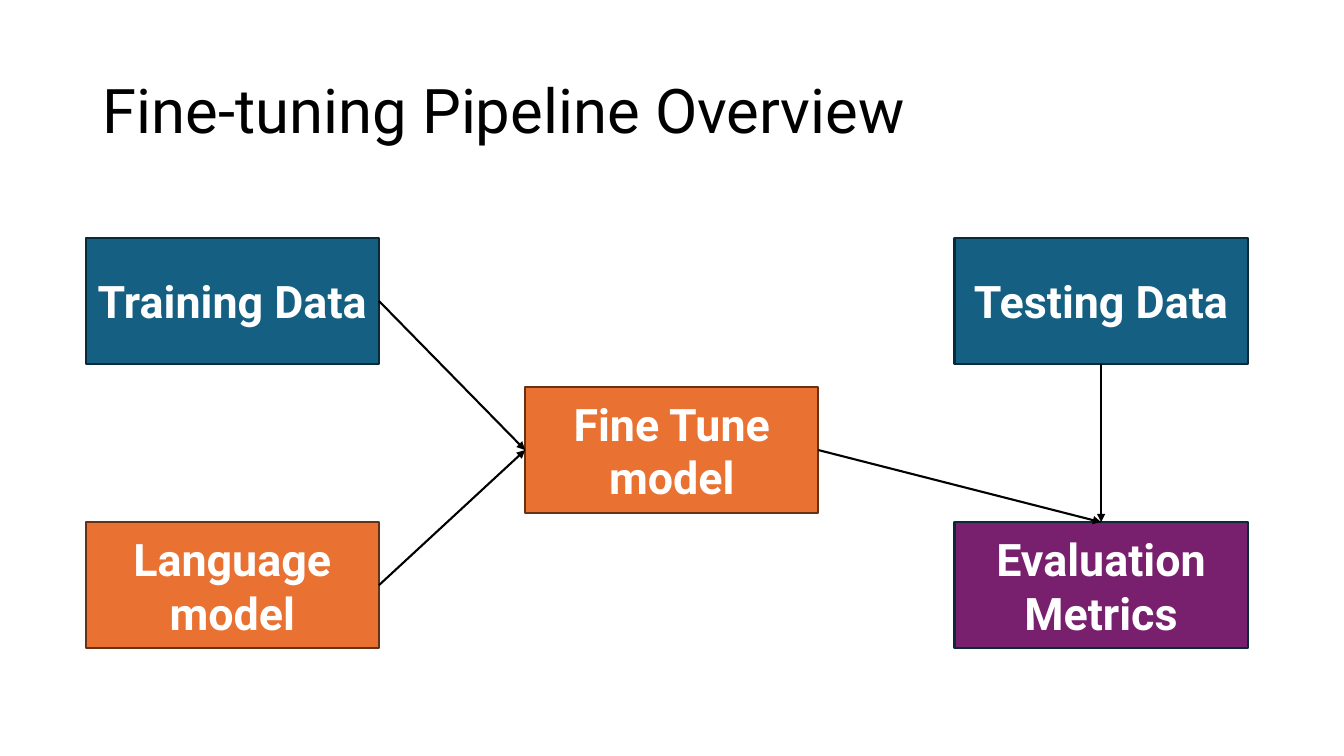
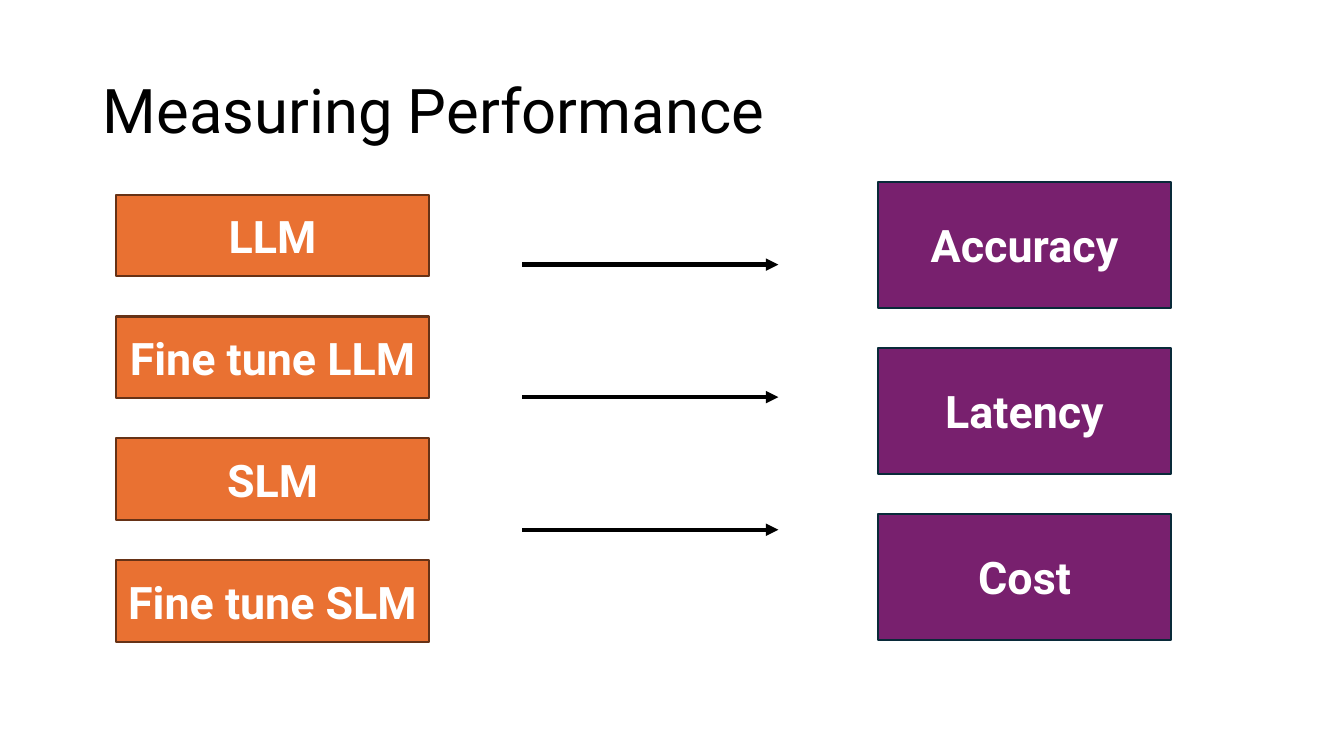
from lxml import etree
from pptx import Presentation
from pptx.dml.color import RGBColor
from pptx.enum.shapes import MSO_CONNECTOR, MSO_SHAPE
from pptx.enum.text import MSO_ANCHOR, MSO_AUTO_SIZE, PP_ALIGN
from pptx.oxml.ns import qn
from pptx.util import Pt

RECT = MSO_SHAPE.RECTANGLE
STRAIGHT = MSO_CONNECTOR.STRAIGHT
LEFT, CENTER = PP_ALIGN.LEFT, PP_ALIGN.CENTER
MIDDLE = MSO_ANCHOR.MIDDLE
NO_FIT = MSO_AUTO_SIZE.NONE
TITLE_ONLY = 5

# Connection sites of a rectangle
TOP_SITE, LEFT_SITE, BOTTOM_SITE, RIGHT_SITE = range(4)


class Deck:
    """Holds the shared style and the current slide."""

    font = "Roboto"
    colors = {
        "text": "000000",
        "light": "FFFFFF",
        "data": "156082",
        "model": "E97132",
        "metric": "78206E",
        "dark_blue": "092A39",
        "dark_orange": "663216",
    }
    borders = {"data": "dark_blue", "model": "dark_orange", "metric": "dark_blue"}
    box_size = (209.5, 90)

    def __init__(self):
        self.prs = Presentation()
        self.prs.slide_width, self.prs.slide_height = Pt(960), Pt(540)
        self.s = None

    def color(self, name):
        return RGBColor.from_string(self.colors[name])

    def format_text(self, tf, size, color, align, bold=False):
        tf.word_wrap = True
        tf.vertical_anchor = MIDDLE
        p = tf.paragraphs[0]
        p.alignment = align
        f = p.runs[0].font
        f.name, f.size, f.bold = self.font, Pt(size), bold
        f.color.rgb = self.color(color)

    def slide(self, title):
        self.s = self.prs.slides.add_slide(self.prs.slide_layouts[TITLE_ONLY])
        sp = self.s.shapes.title
        sp.left, sp.top, sp.width, sp.height = Pt(66.2), Pt(28.8), Pt(828), Pt(104.4)
        tf = sp.text_frame
        tf.text = title
        tf.auto_size = NO_FIT
        tf.paragraphs[0].line_spacing = 0.9
        self.format_text(tf, 44, "text", LEFT)

    def box(self, text, kind, x, y, size=box_size):
        w, h = size
        sp = self.s.shapes.add_shape(RECT, Pt(x), Pt(y), Pt(w), Pt(h))
        sp.shadow.inherit = False
        sp.fill.solid()
        sp.fill.fore_color.rgb = self.color(kind)
        sp.line.color.rgb = self.color(self.borders[kind])
        sp.line.width = Pt(1.5)
        sp.text_frame.text = text
        self.format_text(sp.text_frame, 32, "light", CENTER, bold=True)
        return sp

    def arrow(self, x1=0, y1=0, x2=0, y2=0, width=1.5):
        cxn = self.s.shapes.add_connector(STRAIGHT, Pt(x1), Pt(y1), Pt(x2), Pt(y2))
        cxn.line.color.rgb = self.color("text")
        cxn.line.width = Pt(width)
        etree.SubElement(cxn.line._ln, qn("a:tailEnd"), type="triangle")
        etree.SubElement(cxn._element.spPr, qn("a:effectLst"))
        return cxn

    def link(self, start, start_site, end, end_site):
        cxn = self.arrow()
        cxn.begin_connect(start, start_site)
        cxn.end_connect(end, end_site)


def pipeline_slide(deck):
    deck.slide("Fine-tuning Pipeline Overview")
    left, middle, right = 61.2, 375.1, 681.8
    upper, center, lower = 170, 276.5, 373

    # Pipeline steps
    training = deck.box("Training Data", "data", left, upper)
    language = deck.box("Language model", "model", left, lower)
    tuning = deck.box("Fine Tune model", "model", middle, center)
    testing = deck.box("Testing Data", "data", right, upper)
    metrics = deck.box("Evaluation Metrics", "metric", right, lower)

    # Flow between steps
    deck.link(training, RIGHT_SITE, tuning, LEFT_SITE)
    deck.link(language, RIGHT_SITE, tuning, LEFT_SITE)
    deck.link(tuning, RIGHT_SITE, metrics, TOP_SITE)
    deck.link(testing, BOTTOM_SITE, metrics, TOP_SITE)


def performance_slide(deck):
    deck.slide("Measuring Performance")

    # Models compared
    for i, model in enumerate(["LLM", "Fine tune LLM", "SLM", "Fine tune SLM"]):
        deck.box(model, "model", 82.8, 139 + i * 87.1, (224, 58.5))

    # Metrics, each with its arrow
    for i, metric in enumerate(["Accuracy", "Latency", "Cost"]):
        deck.box(metric, "metric", 627.1, 130 + i * 118.5)
        y = 189 + i * 94.7
        deck.arrow(373, y, 556, y, width=3)


def main():
    deck = Deck()
    pipeline_slide(deck)
    performance_slide(deck)
    deck.prs.save("out.pptx")


if __name__ == "__main__":
    main()
